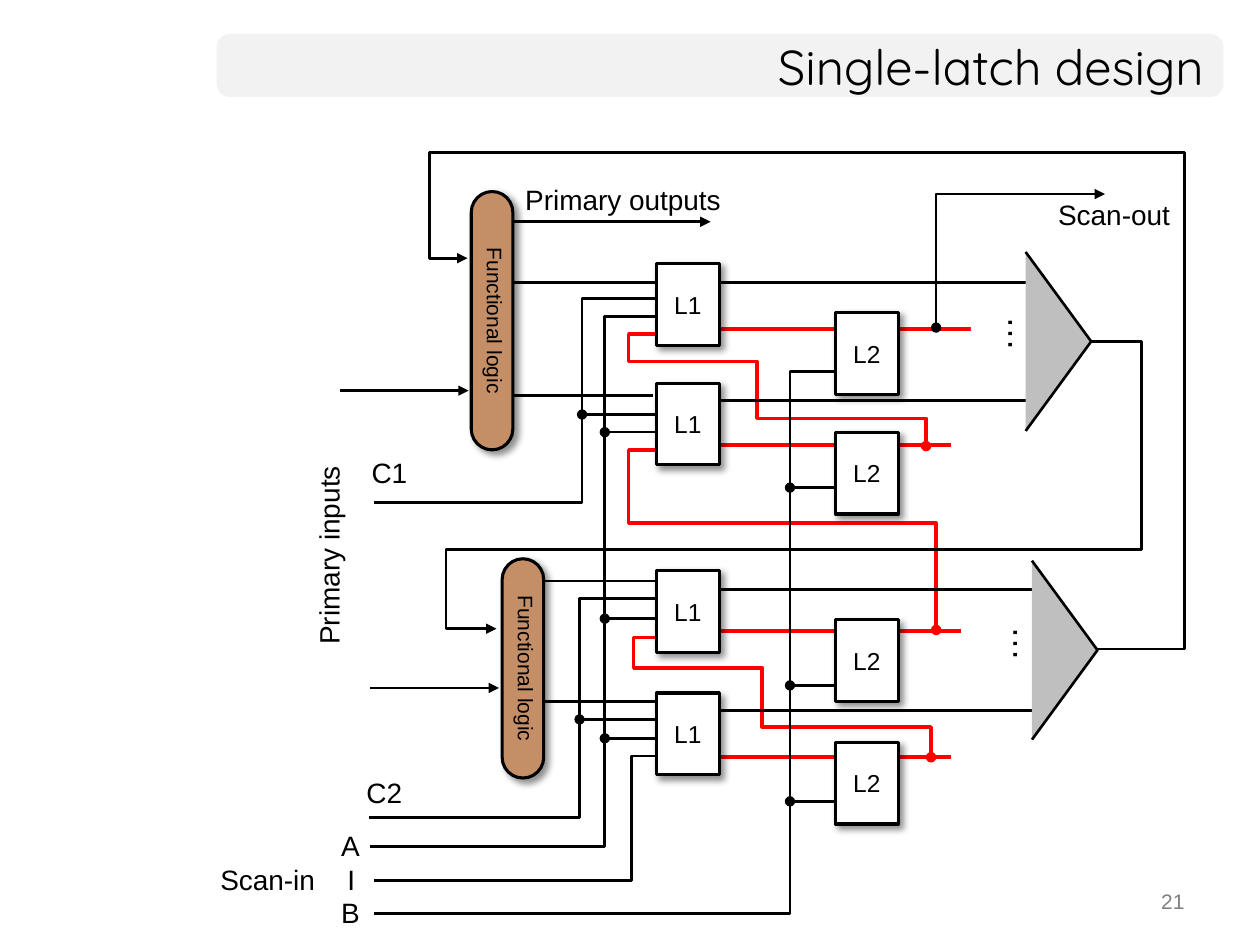
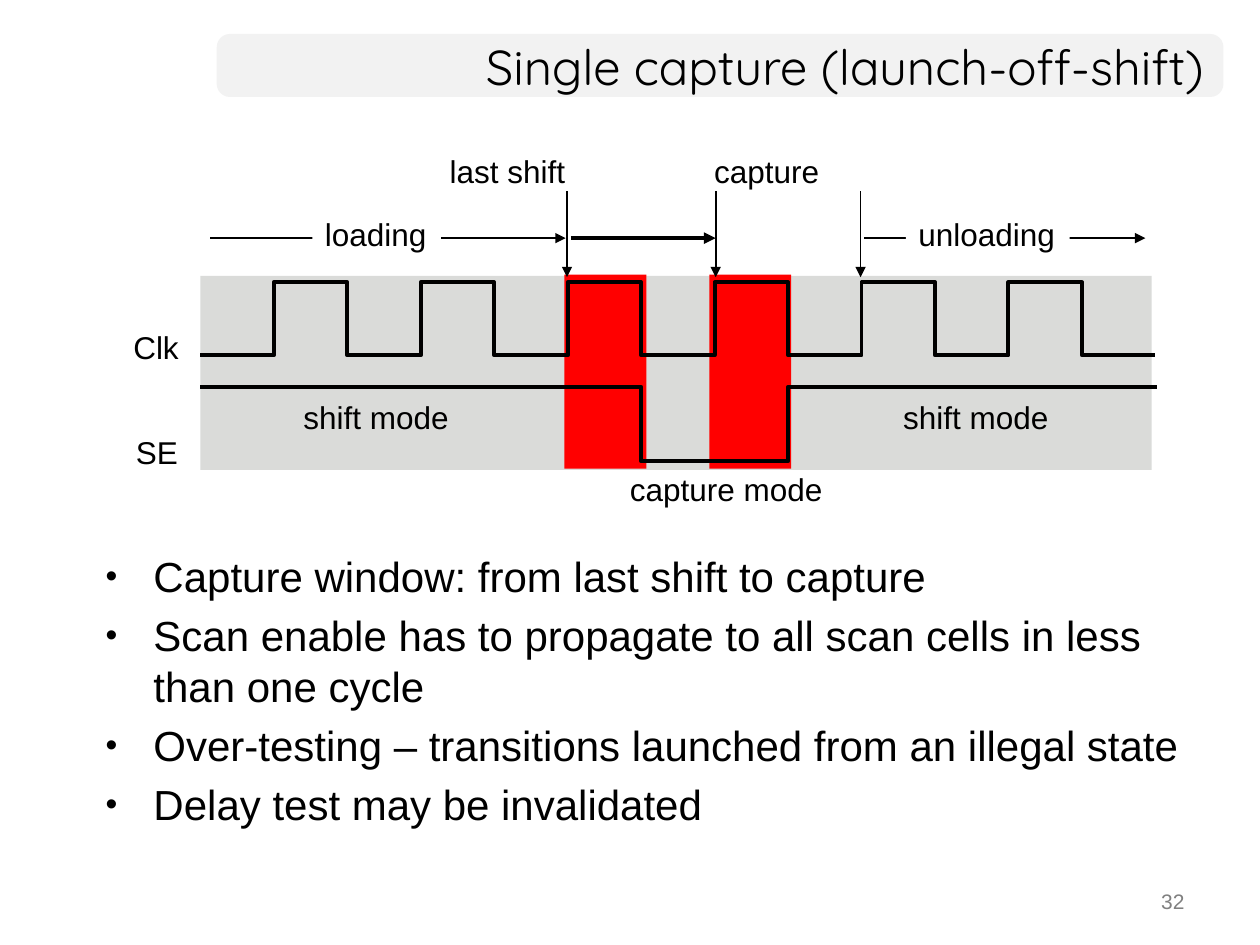
from lxml import etree
from pptx import Presentation
from pptx.dml.color import RGBColor
from pptx.enum.shapes import MSO_CONNECTOR, MSO_SHAPE
from pptx.enum.text import MSO_ANCHOR, PP_ALIGN
from pptx.oxml.ns import qn
from pptx.util import Inches, Pt

RECT, ROUND = MSO_SHAPE.RECTANGLE, MSO_SHAPE.ROUNDED_RECTANGLE
STRAIGHT = MSO_CONNECTOR.STRAIGHT
TOP, MIDDLE = MSO_ANCHOR.TOP, MSO_ANCHOR.MIDDLE
LEFT, CENTER, RIGHT = PP_ALIGN.LEFT, PP_ALIGN.CENTER, PP_ALIGN.RIGHT

COLORS = {
    "black": "000000", "white": "FFFFFF", "red": "FF0000", "band": "F2F2F2",
    "number": "808080", "logic": "C48E66", "mux": "BFBFBF", "wave": "DADBD9",
}


def rgb(name):
    return RGBColor.from_string(COLORS[name])


class Deck:
    def __init__(self):
        self.prs = Presentation()
        self.prs.slide_width, self.prs.slide_height = Inches(10), Inches(7.5)
        self.s = None

    def slide(self, title, number):
        self.s = self.prs.slides.add_slide(self.prs.slide_layouts[6])
        self.shape(ROUND, 1.72, 0.27, 7.99, 0.5, "band", radius=0.21)
        self.label(title, 1.72, 0.27, 7.93, 0.5, 28, name="Quicksand",
                   align=RIGHT, anchor=MIDDLE, wrap=True)
        self.label(str(number), 7.17, 7, 2.33, 0.35, 12, color="number",
                   align=RIGHT, wrap=True)

    def set_text(self, sp, lines, size, color="black", name="Arial", align=LEFT,
                 anchor=TOP, wrap=False):
        tf = sp.text_frame
        tf.word_wrap, tf.vertical_anchor = wrap, anchor
        for i, line in enumerate(lines):
            p = tf.paragraphs[0] if i == 0 else tf.add_paragraph()
            p.alignment = align
            r = p.add_run()
            r.text = line
            for key, value in {"size": Pt(size), "name": name}.items():
                setattr(r.font, key, value)
            r.font.color.rgb = rgb(color)
        return tf

    def label(self, text, x, y, w, h, size, **style):
        sp = self.s.shapes.add_textbox(*map(Inches, (x, y, w, h)))
        self.set_text(sp, [text], size, **style)
        return sp

    def bullets(self, lines, x, y, w, h, size):
        sp = self.s.shapes.add_textbox(*map(Inches, (x, y, w, h)))
        tf = self.set_text(sp, lines, size, wrap=True)
        for i, p in enumerate(tf.paragraphs):
            pPr = p._p.get_or_add_pPr()
            pPr.set("marL", str(Inches(0.38)))
            pPr.set("indent", str(-Inches(0.38)))
            for tag, key, value in (("a:buSzPct", "val", "80000"),
                                    ("a:buFont", "typeface", "Arial"),
                                    ("a:buChar", "char", "•")):
                etree.SubElement(pPr, qn(tag)).set(key, value)
            if i:
                p.space_before = Pt(5)

    def paint(self, sp, fill=None, line=None, width=1.5):
        sp.shadow.inherit = False
        if fill:
            sp.fill.solid()
            sp.fill.fore_color.rgb = rgb(fill)
        else:
            sp.fill.background()
        if line:
            sp.line.color.rgb = rgb(line)
            sp.line.width = Pt(width)
        else:
            sp.line.fill.background()

    def shape(self, kind, x, y, w, h, fill, line=None, width=1.75, radius=None):
        sp = self.s.shapes.add_shape(kind, *map(Inches, (x, y, w, h)))
        if radius is not None:
            sp.adjustments[0] = radius
        self.paint(sp, fill, line, width)
        return sp

    def block(self, kind, text, x, y, w, h, fill, size, radius=None):
        """Outlined, centred box with a soft shadow."""
        sp = self.shape(kind, x, y, w, h, fill, "black", radius=radius)
        self.set_text(sp, [text], size, align=CENTER, anchor=MIDDLE, wrap=True)
        effects = sp._element.spPr.find(qn("a:effectLst"))
        shadow = etree.SubElement(effects, qn("a:outerShdw"), blurRad=str(Pt(4)),
                                  dist=str(Pt(3)), dir="2700000", algn="tl",
                                  rotWithShape="0")
        color = etree.SubElement(shadow, qn("a:srgbClr"), val=COLORS["black"])
        etree.SubElement(color, qn("a:alpha"), val="43000")
        return sp

    def patch(self, text, x, y, w, h, size, anchor=TOP):
        """White rectangle with text that covers what lies behind it."""
        sp = self.shape(RECT, x, y, w, h, "white")
        self.set_text(sp, [text], size, anchor=anchor)
        return sp

    def outline(self, points):
        pts = [(Inches(x), Inches(y)) for x, y in points]
        builder = self.s.shapes.build_freeform(*pts[0])
        builder.add_line_segments(pts[1:], close=False)
        return builder.convert_to_shape()

    def wire(self, *points, color="black", width=1.5, head=None, tail=None):
        """Connector for two points, open polyline for more."""
        if len(points) == 2:
            (x1, y1), (x2, y2) = points
            sp = self.s.shapes.add_connector(
                STRAIGHT, *map(Inches, (x1, y1, x2, y2)))
            sp.line.color.rgb = rgb(color)
            sp.line.width = Pt(width)
            etree.SubElement(sp._element.spPr, qn("a:effectLst"))
        else:
            sp = self.outline(points)
            self.paint(sp, None, color, width)
        ln = sp._element.spPr.find(qn("a:ln"))
        for tag, end in (("a:headEnd", head), ("a:tailEnd", tail)):
            if end:
                etree.SubElement(ln, qn(tag), type=end)


def latch_slide(d):
    d.slide("Single-latch design", 21)

    # Scan path
    for y, end in ((2.61, 7.71), (3.53, 7.55), (5.01, 7.63), (6.01, 7.55)):
        d.wire((5.58, y), (end, y), color="red", width=2)
    for x, y, mid_x, y1, y2, end_x, end_y in (
            (4.99, 2.65, 6.01, 2.87, 3.32, 7.35, 3.54),
            (5.03, 5.06, 6.05, 5.3, 5.77, 7.39, 6.01)):
        d.wire((5.31, y), (x, y), (x, y1), (mid_x, y1), (mid_x, y2),
               (end_x, y2), (end_x, end_y), color="red", width=2, tail="oval")
    d.wire((5.31, 3.57), (4.99, 3.57), (4.99, 4.15), (7.43, 4.15), (7.43, 5),
           color="red", width=2, tail="oval")

    # Feedback from the multiplexers to the logic
    d.wire((8.66, 2.71), (9.06, 2.71), (9.06, 4.36), (3.54, 4.36),
           (3.54, 4.99), (3.94, 4.99), tail="triangle")
    d.wire((8.67, 5.15), (9.4, 5.15), (9.4, 1.21), (3.41, 1.21),
           (3.41, 2.05), (3.71, 2.05), tail="triangle")

    # Data in and out of the latches
    for y, start, end in ((2.24, 4.07, 5.23), (3.14, 4.08, 5.18),
                          (4.61, 4.18, 5.28), (5.57, 4.3, 5.4),
                          (2.24, 5.48, 8.15), (3.18, 5.48, 8.15),
                          (4.68, 5.52, 8.19), (5.64, 5.52, 8.19)):
        d.wire((start, y), (end, y))

    # Clock lines C1, C2, A, I, B and their taps
    for x, y, riser, top, end in ((2.97, 3.99, 4.62, 2.37, 5.38),
                                  (2.93, 6.49, 4.6, 4.75, 5.37),
                                  (2.94, 6.72, 4.8, 2.51, 5.46),
                                  (2.97, 6.99, 5.01, 6, 5.38),
                                  (2.97, 7.25, 6.27, 2.95, 7.04)):
        d.wire((x, y), (riser, y), (riser, top), (end, top))
    for riser, ys in ((4.62, [3.29]), (4.6, [5.71]), (4.8, [3.43, 4.91, 5.86]),
                      (6.27, [3.87, 5.44, 6.36])):
        for y in ys:
            d.wire((riser, y), (riser + 0.7, y), head="oval")

    # Primary inputs and outputs, scan-out
    d.wire((7.43, 2.6), (7.43, 1.54), (8.77, 1.54), head="oval", tail="triangle")
    for x, y, end in ((4.07, 1.76, 5.64), (2.7, 3.1, 3.72), (2.94, 5.46, 3.96)):
        d.wire((x, y), (end, y), tail="triangle")

    for text, x, y, w in (("C1", 2.85, 3.57, 0.48), ("C2", 2.81, 6.11, 0.48),
                          ("A", 2.61, 6.53, 0.34), ("I", 2.66, 6.8, 0.26),
                          ("B", 2.61, 7.06, 0.36), ("Scan-in", 1.65, 6.8, 0.96),
                          ("Scan-out", 8.3, 1.52, 1.1),
                          ("Primary outputs", 4.07, 1.4, 1.77)):
        d.label(text, x, y, w, 0.37, 16)
    d.label("Primary inputs", 1.79, 4.21, 1.64, 0.37, 16).rotation = 270

    for x, y in ((7.68, 2.43), (7.72, 4.89)):
        d.patch("…", x, y, 0.48, 0.43, 20).rotation = 270
    for x, y in ((8.14, 2), (8.19, 4.45)):
        mux = d.outline([(x, y + 1.42), (x + 0.52, y + 0.71), (x, y)])
        d.paint(mux, "mux", "black")

    for y in (2.09, 3.04, 4.53, 5.5):
        d.block(RECT, "L1", 5.21, y, 0.5, 0.65, "white", 14)
        d.block(RECT, "L2", 6.63, y + 0.39, 0.5, 0.65, "white", 14)
    for x, y, length in ((2.88, 2.38, 2.05), (3.28, 5.14, 1.74)):
        logic = d.block(ROUND, "Functional logic", x, y, length, 0.33, "logic",
                        12, radius=0.5)
        logic.rotation = 90
        logic.text_frame.margin_bottom = Inches(0.1)


def capture_slide(d):
    d.slide("Single capture (launch-off-shift)", 32)
    d.bullets(["Capture window: from last shift to capture",
               "Scan enable has to propagate to all scan cells in less than one cycle",
               "Over-testing – transitions launched from an illegal state",
               "Delay test may be invalidated"], 0.74, 4.32, 9, 2.39, 24)

    d.shape(RECT, 1.59, 2.19, 7.55, 1.54, "wave")
    for x in (4.48, 5.63):
        d.shape(RECT, x, 2.18, 0.65, 1.54, "red")

    # Clock and scan-enable waveforms share the same edges
    left, right, low, high = 1.59, 9.17, 2.82, 2.24
    edges = [left + i * (right - left) / 13 for i in range(14)]
    clock = [(left, low)]
    for i, x in enumerate(edges[1:-1]):
        levels = (low, high) if i % 2 == 0 else (high, low)
        clock += [(x, y) for y in levels]
    d.wire(*clock, (right, low), width=2.25)
    fall, rise = edges[6], edges[8]
    d.wire((left, 3.07), (fall, 3.07), (fall, 3.66), (rise, 3.66),
           (rise, 3.07), (9.18, 3.07), width=2.25)

    for start, end, width in ((1.67, 4.49, 0.75), (4.53, 5.68, 2.25),
                              (6.86, 9.09, 0.75)):
        d.wire((start, 1.89), (end, 1.89), width=width, tail="triangle")
    for x in (4.5, 5.68, 6.83):
        d.wire((x, 1.52), (x, 2.2), width=1, tail="triangle")

    for text, x, y, w in (("last shift", 3.47, 1.16, 1.13),
                          ("capture", 5.57, 1.16, 1.04),
                          ("Clk", 0.96, 2.55, 0.57), ("SE", 0.98, 3.39, 0.54),
                          ("capture mode", 4.9, 3.68, 1.75),
                          ("shift mode", 2.31, 3.11, 1.37),
                          ("shift mode", 7.07, 3.11, 1.37)):
        d.label(text, x, y, w, 0.4, 18, anchor=MIDDLE)
    for text, x, w in (("loading", 2.48, 1.02), ("unloading", 7.19, 1.3)):
        d.patch(text, x, 1.66, w, 0.4, 18, MIDDLE)


def main():
    d = Deck()
    latch_slide(d)
    capture_slide(d)
    d.prs.save("out.pptx")


if __name__ == "__main__":
    main()
